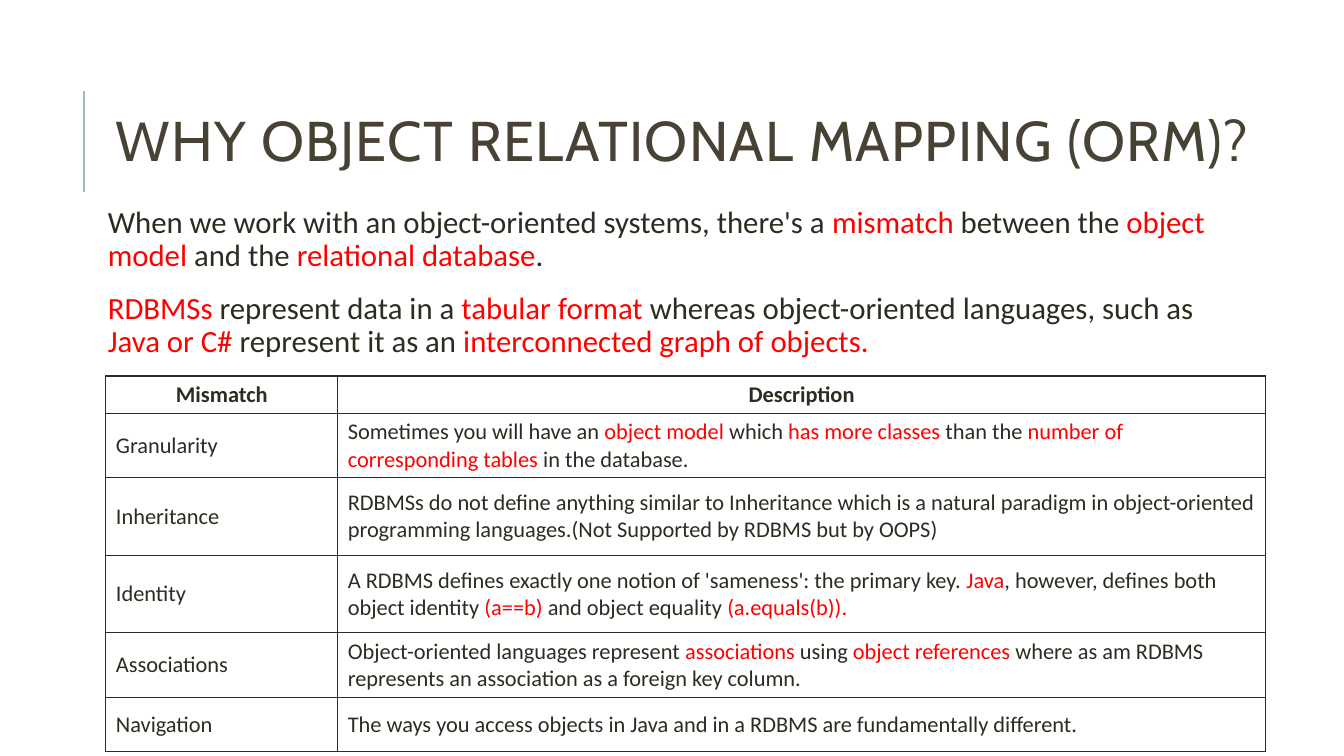
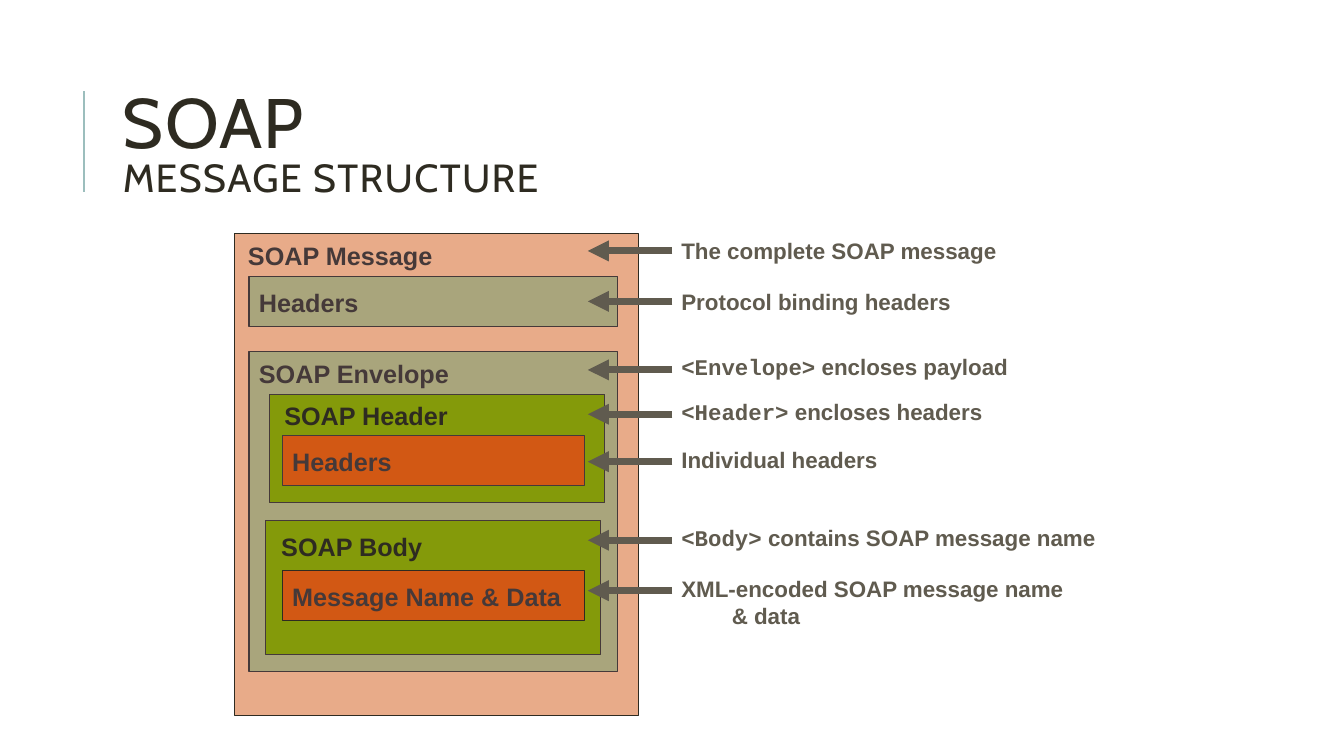
from lxml import etree
from pptx import Presentation
from pptx.dml.color import RGBColor
from pptx.enum.shapes import MSO_CONNECTOR, MSO_SHAPE
from pptx.enum.text import MSO_ANCHOR, PP_ALIGN
from pptx.oxml.ns import qn
from pptx.util import Inches, Pt

STRAIGHT = MSO_CONNECTOR.STRAIGHT
RECTANGLE = MSO_SHAPE.RECTANGLE
TOP, MIDDLE = MSO_ANCHOR.TOP, MSO_ANCHOR.MIDDLE
LEFT, CENTER = PP_ALIGN.LEFT, PP_ALIGN.CENTER

COLORS = {
    "ink": "2E2B21", "title": "474233", "rule": "9CBEBD", "red": "FF0000",
    "brown": "453939", "gray": "605B4F", "orange": "D25814",
    "khaki": "A9A57C", "green": "849A0A",
}
TITLE_FONT, BODY_FONT, DIAGRAM_FONT, CODE_FONT = "Cabin", "Calibri", "Arial", "Courier New"

# Text between bars takes the accent style.
ORM_TITLE = [("WHY OBJECT RELATIONAL MAPPING (ORM)?", 40)]
ORM_INTRO = [
    "When we work with an object-oriented systems, there's a |mismatch| between the "
    "|object model |and the |relational database|.",
    "|RDBMSs| represent data in a |tabular format |whereas object-oriented languages, such as "
    "|Java or C# |represent it as an |interconnected graph of objects.|",
]
MISMATCHES = [
    ("Mismatch", "Description", 0.37),
    ("Granularity", "Sometimes you will have an |object model |which |has more classes| than the "
     "|number of corresponding tables |in the database.", 0.64),
    ("Inheritance", "RDBMSs do not define anything similar to Inheritance which is a natural "
     "paradigm in object-oriented programming languages.(Not Supported by RDBMS but by OOPS)", 0.77),
    ("Identity", "A RDBMS defines exactly one notion of 'sameness': the primary key. |Java|, "
     "however, defines both object identity |(a==b) |and object equality |(a.equals(b)).|", 0.77),
    ("Associations", "Object-oriented languages represent |associations| using |object references "
     "|where as am RDBMS represents an association as a foreign key column.", 0.64),
    ("Navigation", "The ways you access objects in Java and in a RDBMS are fundamentally "
     "different.", 0.54),
]
COLUMN_WIDTHS = (2.3, 9.2)

SOAP_TITLE = [("SOAP", 50), ("MESSAGE STRUCTURE", 28)]
SOAP_BOXES = [
    ("SOAP Message", (2.33, 2.32, 4, 4.78), "orange", 50, "ink", "brown", (0.13, 0.06)),
    ("SOAP Envelope", (2.47, 3.49, 3.66, 3.17), "khaki", 100, "brown", "brown", (0.1, 0.06)),
    ("SOAP Header", (2.67, 3.91, 3.33, 1.08), "green", 100, "brown", "ink", (0.15, 0.06)),
    ("SOAP Body", (2.63, 5.16, 3.33, 1.33), "green", 100, "brown", "ink", (0.16, 0.11)),
    ("Message Name & Data", (2.8, 5.66, 3, 0.5), "orange", 100, "ink", "brown", (0.1, 0.11)),
    ("Headers", (2.8, 4.32, 3, 0.5), "orange", 100, "brown", "brown", (0.1, 0.11)),
    ("Headers", (2.47, 2.74, 3.66, 0.5), "khaki", 100, "brown", "brown", (0.1, 0.11)),
]
SOAP_CALLOUTS = [
    ("The complete SOAP message", 2.24, 2.49),
    ("Protocol binding headers", 2.74, 2.99),
    ("|<Envelope>| encloses payload", 3.39, 3.67),
    ("|<Header>| encloses headers", 3.83, 4.11),
    ("Individual headers", 4.31, 4.58),
    ("|<Body>| contains SOAP message name", 5.08, 5.36),
    ("XML-encoded SOAP message name\v& data", 5.72, 5.86),
]


def color(name):
    return RGBColor.from_string(COLORS[name])


def write(paragraph, text, font, size, ink, bold=False, accent_color=None, accent_font=None,
          align=LEFT):
    paragraph.alignment = align
    paragraph.font.name = font
    paragraph.font.size = Pt(size)
    paragraph.font.bold = bold
    paragraph.font.color.rgb = color(ink)
    for index, part in enumerate(text.split("|")):
        for line_index, line in enumerate(part.split("\v")):
            if line_index:
                paragraph.add_line_break()
            if not line:
                continue
            run = paragraph.add_run()
            run.text = line
            if index % 2 and accent_color:
                run.font.color.rgb = color(accent_color)
            if index % 2 and accent_font:
                run.font.name = accent_font


def add_text_frame(slide, left, top, width, height, anchor=MIDDLE):
    box = slide.shapes.add_textbox(Inches(left), Inches(top), Inches(width), Inches(height))
    frame = box.text_frame
    frame.word_wrap = True
    frame.vertical_anchor = anchor
    return frame


def paragraph_at(frame, index):
    return frame.add_paragraph() if index else frame.paragraphs[0]


def add_line(slide, start, end, ink, width, arrow=False):
    line = slide.shapes.add_connector(STRAIGHT, *(Inches(value) for value in start + end))
    line.line.color.rgb = color(ink)
    line.line.width = Pt(width)
    if arrow:
        outline = line.line._get_or_add_ln()
        etree.SubElement(outline, qn("a:tailEnd"), type="triangle")
    etree.SubElement(line._element.spPr, qn("a:effectLst"))


def start_slide(presentation, title, box, ink):
    slide = presentation.slides.add_slide(presentation.slide_layouts[6])
    add_line(slide, (0.83, 1.9), (0.83, 0.9), "rule", 1.5)
    frame = add_text_frame(slide, *box)
    for index, (text, size) in enumerate(title):
        paragraph = paragraph_at(frame, index)
        paragraph.line_spacing = 0.8
        write(paragraph, text, TITLE_FONT, size, ink)
        for run in paragraph.runs:
            run._r.get_or_add_rPr().set("spc", "100")
    return slide


def set_borders(cell):
    properties = cell._tc.get_or_add_tcPr()
    for index, side in enumerate(("a:lnL", "a:lnR", "a:lnT", "a:lnB")):
        border = etree.Element(qn(side), w=str(Pt(1)))
        fill = etree.SubElement(border, qn("a:solidFill"))
        etree.SubElement(fill, qn("a:srgbClr"), val=COLORS["ink"])
        properties.insert(index, border)


def add_mismatch_table(slide):
    heights = [row[-1] for row in MISMATCHES]
    table = slide.shapes.add_table(
        len(MISMATCHES), len(COLUMN_WIDTHS), Inches(1.05), Inches(3.73),
        Inches(sum(COLUMN_WIDTHS)), Inches(sum(heights))).table
    table.horz_banding = False
    for column, width in zip(table.columns, COLUMN_WIDTHS):
        column.width = Inches(width)
    for row_index, (*texts, height) in enumerate(MISMATCHES):
        table.rows[row_index].height = Inches(height)
        header = row_index == 0
        for column_index, text in enumerate(texts):
            cell = table.cell(row_index, column_index)
            cell.fill.background()
            cell.vertical_anchor = MIDDLE
            set_borders(cell)
            write(cell.text_frame.paragraphs[0], text, BODY_FONT, 16, "ink", bold=header,
                  accent_color="red", align=CENTER if header else LEFT)


def build_orm_slide(presentation):
    slide = start_slide(presentation, ORM_TITLE, (1.05, 0.72, 11.8, 1.45), "title")
    frame = add_text_frame(slide, 1.02, 2, 11.4, 1.7, TOP)
    frame.margin_left = frame.margin_right = frame.margin_top = frame.margin_bottom = Inches(0.05)
    for index, text in enumerate(ORM_INTRO):
        paragraph = paragraph_at(frame, index)
        paragraph.line_spacing = 0.9
        paragraph.space_after = Pt(2)
        if index:
            paragraph.space_before = Pt(12)
        write(paragraph, text, BODY_FONT, 22, "ink", accent_color="red")
    add_mismatch_table(slide)


def add_box(slide, text, bounds, fill, opacity, outline, ink, insets):
    box = slide.shapes.add_shape(RECTANGLE, *(Inches(value) for value in bounds))
    box.shadow.inherit = False
    box.fill.solid()
    box.fill.fore_color.rgb = color(fill)
    if opacity < 100:
        fill_color = box._element.spPr.find(qn("a:solidFill"))[0]
        etree.SubElement(fill_color, qn("a:alpha"), val=str(opacity * 1000))
    box.line.color.rgb = color(outline)
    box.line.width = Pt(0.75)
    frame = box.text_frame
    frame.word_wrap = True
    frame.vertical_anchor = TOP
    frame.margin_left, frame.margin_top = (Inches(value) for value in insets)
    write(frame.paragraphs[0], text, DIAGRAM_FONT, 18, ink, bold=True)


def build_soap_slide(presentation):
    slide = start_slide(presentation, SOAP_TITLE, (1.12, 0.64, 10.63, 1.64), "ink")
    for box in SOAP_BOXES:
        add_box(slide, *box)
    for text, top, arrow_y in SOAP_CALLOUTS:
        add_line(slide, (6.67, arrow_y), (5.83, arrow_y), "gray", 5, arrow=True)
        paragraph = add_text_frame(slide, 6.66, top, 5, 0.5).paragraphs[0]
        if "\v" in text:
            properties = paragraph._p.get_or_add_pPr()
            properties.set("marL", str(Inches(0.5)))
            properties.set("indent", str(-Inches(0.5)))
        write(paragraph, text, DIAGRAM_FONT, 16, "gray", bold=True, accent_font=CODE_FONT)


def main():
    presentation = Presentation()
    presentation.slide_width = Inches(13.33)
    presentation.slide_height = Inches(7.5)
    build_orm_slide(presentation)
    build_soap_slide(presentation)
    presentation.save("out.pptx")


if __name__ == "__main__":
    main()
